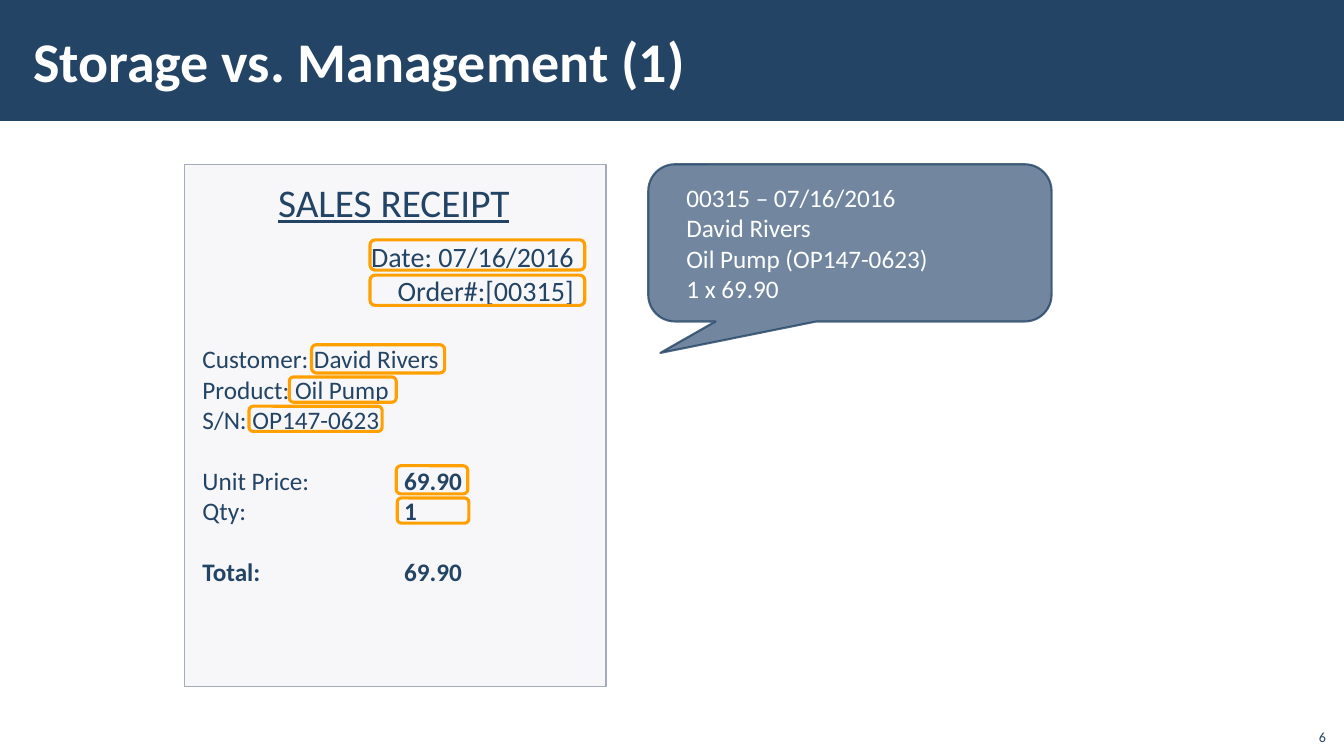
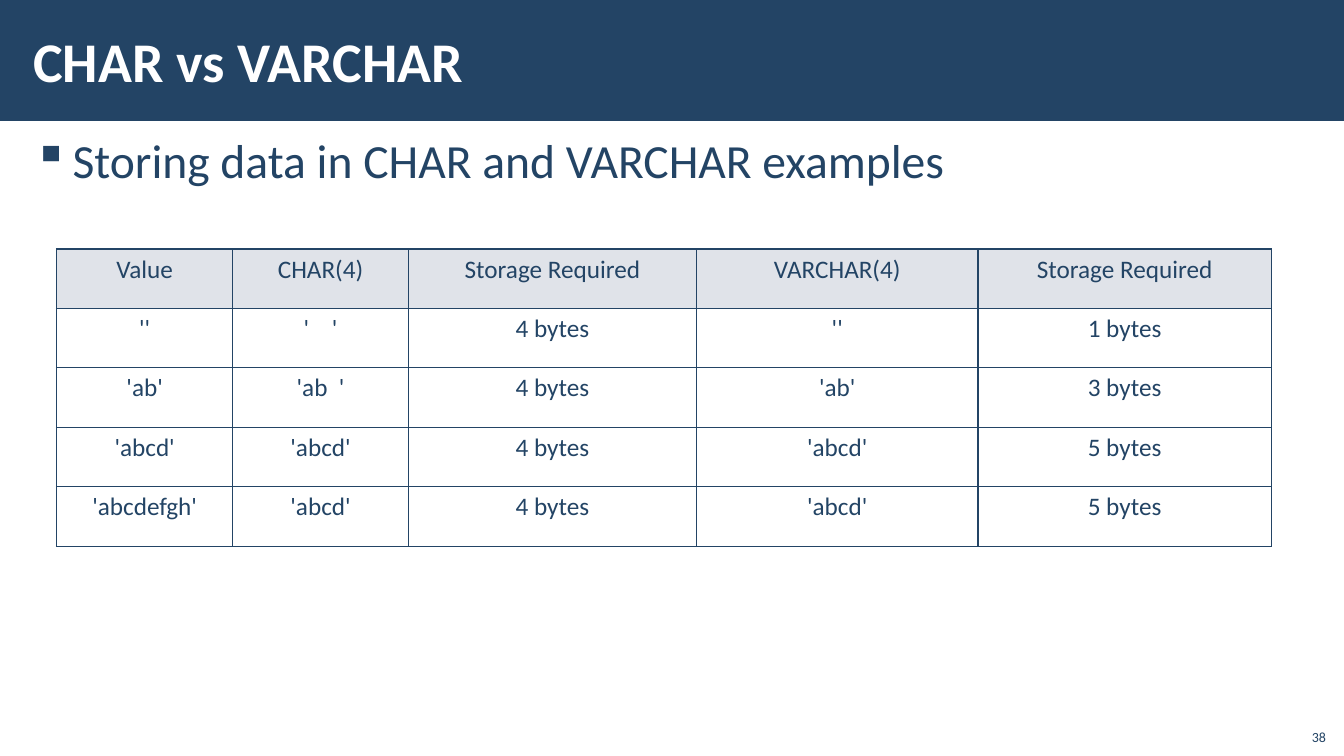
import pptx
import pptx.dml.color
import pptx.enum.shapes
import pptx.enum.text
import pptx.oxml
import pptx.oxml.ns
import pptx.util
from lxml import etree

Inches, Pt = pptx.util.Inches, pptx.util.Pt
qn = pptx.oxml.ns.qn
ALIGN = pptx.enum.text.PP_ALIGN
ANCHOR = pptx.enum.text.MSO_ANCHOR
PRESET = pptx.enum.shapes.MSO_SHAPE

FONT = "Calibri"
NAVY, WHITE, ORANGE = "234465", "FFFFFF", "FFA000"
HEADER_FILL, CALLOUT_FILL = "E0E3E9", "4F6987"
RECEIPT_FILL, RECEIPT_EDGE = "E9EBEF", "A3ABBC"
LINE_GAP = 22
WIDE_INSETS = (0.12, 0.04)

RECEIPT_HEADING = "SALES RECEIPT"
ORDER_LINES = ["Date: 07/16/2016", "Order#:[00315]"]
RECEIPT_LINES = [
    ("Customer: David Rivers", {}),
    ("Product: Oil Pump", {}),
    ("S/N: OP147-0623", {}),
    ([("Unit Price:\t", False), ("69.90", True)], {"before": LINE_GAP}),
    ([("Qty:\t", False), ("1", True)], {}),
    ([("Total:\t69.90", True)], {"before": LINE_GAP}),
]
RECORD_LINES = ["00315 – 07/16/2016", "David Rivers", "Oil Pump (OP147-0623)", "1 x 69.90"]
HIGHLIGHTS = {
    "date": (3.67, 2.38, 2.13, 0.3),
    "order": (3.67, 2.73, 2.13, 0.3),
    "customer": (3.09, 3.42, 1.32, 0.28),
    "product": (2.87, 3.74, 1.06, 0.25),
    "serial": (2.47, 4.03, 1.32, 0.25),
    "price": (3.93, 4.62, 0.71, 0.28),
    "quantity": (3.94, 4.94, 0.71, 0.25),
}

STORAGE_BULLET = "Storing data in CHAR and VARCHAR examples"
STORAGE_COLUMNS = [1.75, 1.74, 2.86, 2.79, 2.91]
STORAGE_ROW_HEIGHT = 0.59
STORAGE_ROWS = [
    ("Value", "CHAR(4)", "Storage Required", "VARCHAR(4)", "Storage Required"),
    ("''", "'    '", "4 bytes", "''", "1 bytes"),
    ("'ab'", "'ab  '", "4 bytes", "'ab'", "3 bytes"),
    ("'abcd'", "'abcd'", "4 bytes", "'abcd'", "5 bytes"),
    ("'abcdefgh'", "'abcd'", "4 bytes", "'abcd'", "5 bytes"),
]


def rgb(value):
    return pptx.dml.color.RGBColor.from_string(value)


def box(at):
    return [Inches(length) for length in at]


def set_alpha(parent, percent):
    colour = next(parent.iter(qn("a:srgbClr")))
    etree.SubElement(colour, qn("a:alpha"), val=str(percent * 1000))


def write(frame, lines, size=18, colour=NAVY, bold=False, underline=False,
          align=ALIGN.LEFT, anchor=ANCHOR.TOP, insets=(0.1, 0.05), wrap=True,
          tab=None, bullet=None, indent=0, around=0):
    frame.word_wrap = wrap
    frame.vertical_anchor = anchor
    frame.margin_left = frame.margin_right = Inches(insets[0])
    frame.margin_top = frame.margin_bottom = Inches(insets[1])
    for number, line in enumerate(lines):
        content, spacing = line if isinstance(line, tuple) else (line, {})
        paragraph = frame.add_paragraph() if number else frame.paragraphs[0]
        paragraph.alignment = align
        paragraph.space_before = Pt(spacing.get("before", around))
        paragraph.space_after = Pt(around)
        properties = paragraph._p.get_or_add_pPr()
        if bullet:
            properties.set("marL", str(Inches(indent)))
            properties.set("indent", str(-Inches(indent)))
            bullet_colour = etree.SubElement(properties, qn("a:buClr"))
            etree.SubElement(bullet_colour, qn("a:srgbClr"), val=colour)
            etree.SubElement(properties, qn("a:buChar"), char=bullet)
        if tab:
            stops = etree.SubElement(properties, qn("a:tabLst"))
            etree.SubElement(stops, qn("a:tab"), pos=str(Inches(tab)), algn="l")
        runs = [(content, bold)] if isinstance(content, str) else content
        for words, strong in runs:
            run = paragraph.add_run()
            run.text = words
            run.font.name = FONT
            run.font.size = Pt(size)
            run.font.bold = strong
            run.font.underline = underline
            run.font.color.rgb = rgb(colour)


def add_text(slide, at, lines, **style):
    write(slide.shapes.add_textbox(*box(at)).text_frame, lines, **style)


def add_panel(slide, preset, at, fill=None, fill_alpha=None, line=None, width=1, line_alpha=None):
    panel = slide.shapes.add_shape(preset, *box(at))
    panel.shadow.inherit = False
    if fill:
        panel.fill.solid()
        panel.fill.fore_color.rgb = rgb(fill)
        if fill_alpha:
            set_alpha(panel.element.spPr.find(qn("a:solidFill")), fill_alpha)
    else:
        panel.fill.background()
    if line:
        panel.line.color.rgb = rgb(line)
        panel.line.width = Pt(width)
        if line_alpha:
            set_alpha(panel.element.spPr.find(qn("a:ln")), line_alpha)
    else:
        panel.line.fill.background()
    return panel


def add_slide(deck, title, page):
    slide = deck.slides.add_slide(deck.slide_layouts[6])
    add_panel(slide, PRESET.RECTANGLE, (0, 0, 13.33, 1.2), fill=NAVY)
    add_text(slide, (0.21, 0.11, 10.63, 0.97), [title], size=40, colour=WHITE,
             bold=True, anchor=ANCHOR.MIDDLE, insets=WIDE_INSETS)
    add_text(slide, (12.85, 7.12, 0.4, 0.32), [page], size=10,
             align=ALIGN.RIGHT, anchor=ANCHOR.BOTTOM)
    return slide


def add_borders(cell, colour, width):
    properties = cell._tc.get_or_add_tcPr()
    for side in ("a:lnL", "a:lnR", "a:lnT", "a:lnB"):
        border = etree.SubElement(properties, qn(side), w=str(Pt(width)))
        fill = etree.SubElement(border, qn("a:solidFill"))
        etree.SubElement(fill, qn("a:srgbClr"), val=colour)


def build_receipt(deck):
    slide = add_slide(deck, "Storage vs. Management (1)", "6")
    add_panel(slide, PRESET.RECTANGLE, (1.83, 1.63, 4.18, 5.18),
              fill=RECEIPT_FILL, fill_alpha=36, line=RECEIPT_EDGE)
    add_text(slide, (2.66, 1.72, 2.52, 0.57), [RECEIPT_HEADING],
             size=28, underline=True, wrap=False)
    add_text(slide, (3.51, 2.33, 2.28, 1.11), ORDER_LINES, size=20, align=ALIGN.RIGHT)
    add_text(slide, (1.91, 3.36, 4.02, 2.52), RECEIPT_LINES, tab=2)
    record = add_panel(slide, PRESET.ROUNDED_RECTANGULAR_CALLOUT, (6.43, 1.63, 4, 1.56),
                       fill=CALLOUT_FILL, fill_alpha=80, line=NAVY, width=1.5, line_alpha=80)
    for number, value in enumerate((-0.47, 0.7, 0.17)):
        record.adjustments[number] = value
    write(record.text_frame, RECORD_LINES, colour=WHITE, anchor=ANCHOR.MIDDLE, insets=(0.3, 0.1))
    for at in HIGHLIGHTS.values():
        add_panel(slide, PRESET.ROUNDED_RECTANGLE, at, line=ORANGE, width=2.25)


def build_storage(deck):
    slide = add_slide(deck, "CHAR vs VARCHAR", "38")
    add_text(slide, (0.21, 1.26, 12.91, 5.86), [STORAGE_BULLET], size=34,
             insets=WIDE_INSETS, bullet="▪", indent=0.39, around=6)
    at = (0.56, 2.47, sum(STORAGE_COLUMNS), STORAGE_ROW_HEIGHT * len(STORAGE_ROWS))
    storage = slide.shapes.add_table(len(STORAGE_ROWS), len(STORAGE_COLUMNS), *box(at)).table
    storage.horz_banding = False
    storage.first_row = False
    for column, width in zip(storage.columns, STORAGE_COLUMNS):
        column.width = Inches(width)
    for row_number, values in enumerate(STORAGE_ROWS):
        storage.rows[row_number].height = Inches(STORAGE_ROW_HEIGHT)
        for column_number, value in enumerate(values):
            cell = storage.cell(row_number, column_number)
            add_borders(cell, NAVY, 1)
            if row_number == 0:
                cell.fill.solid()
                cell.fill.fore_color.rgb = rgb(HEADER_FILL)
            else:
                cell.fill.background()
            write(cell.text_frame, [value], align=ALIGN.CENTER)


def main():
    deck = pptx.Presentation()
    deck.slide_width = Inches(13.33)
    deck.slide_height = Inches(7.5)
    build_receipt(deck)
    build_storage(deck)
    deck.save("out.pptx")


if __name__ == "__main__":
    main()
